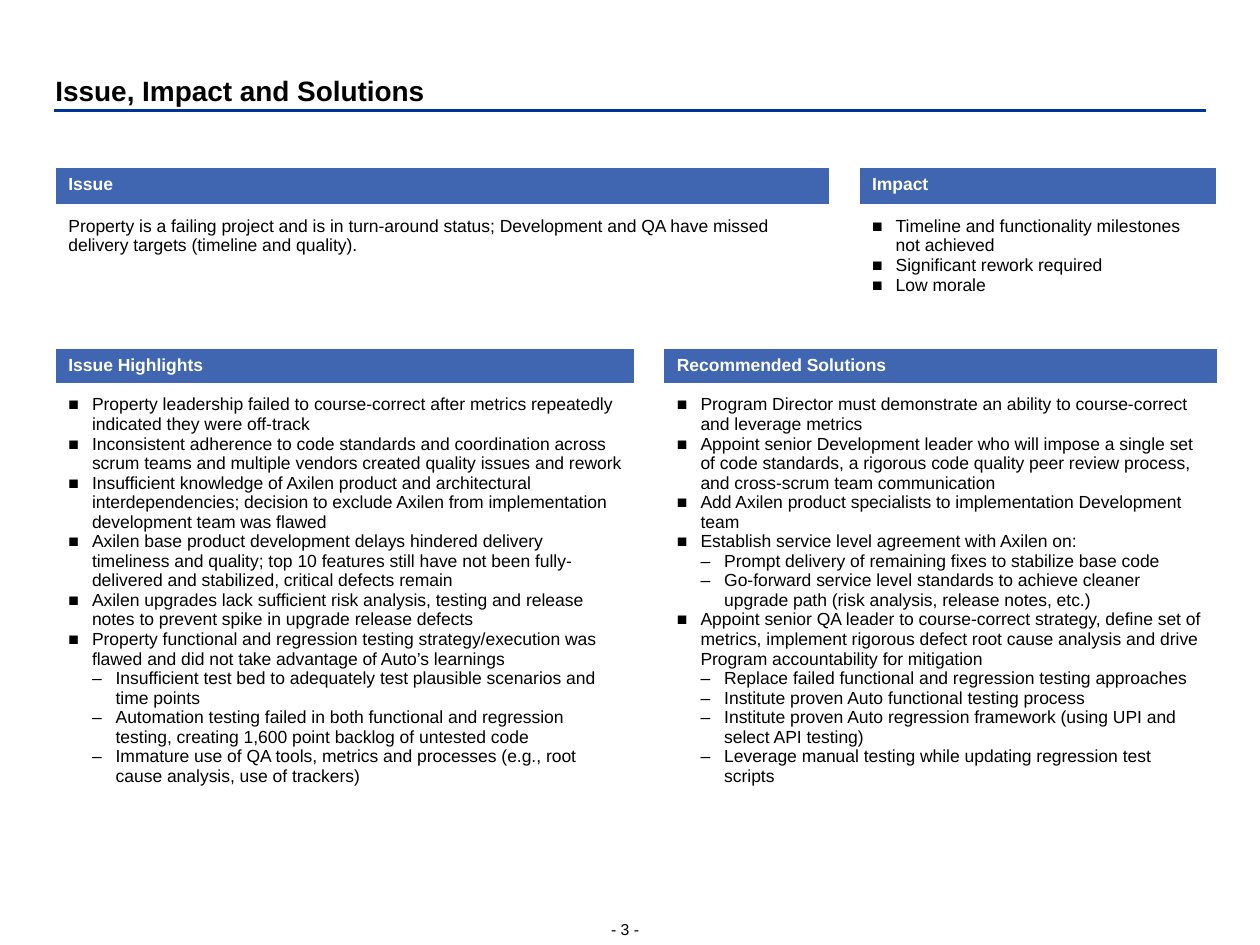
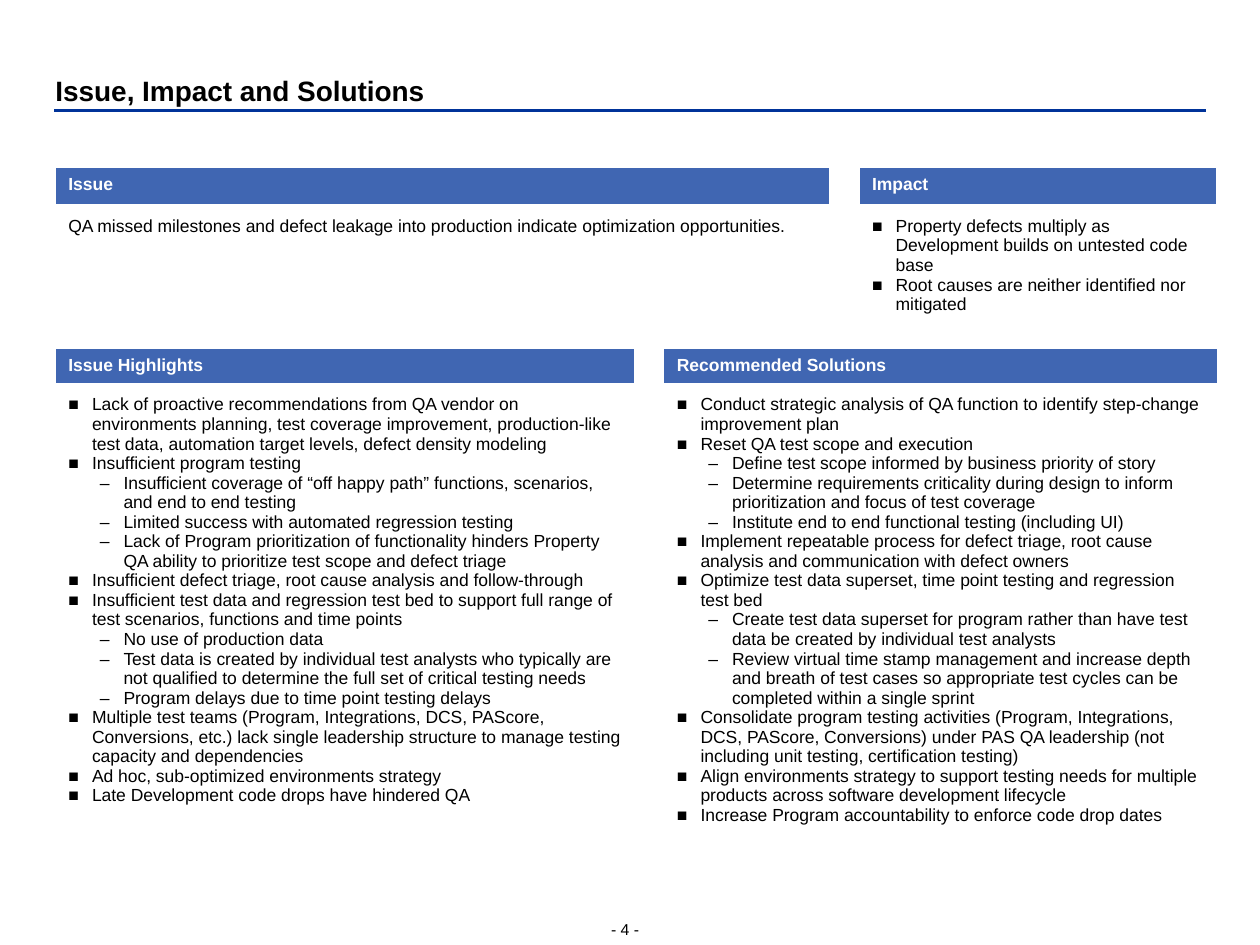
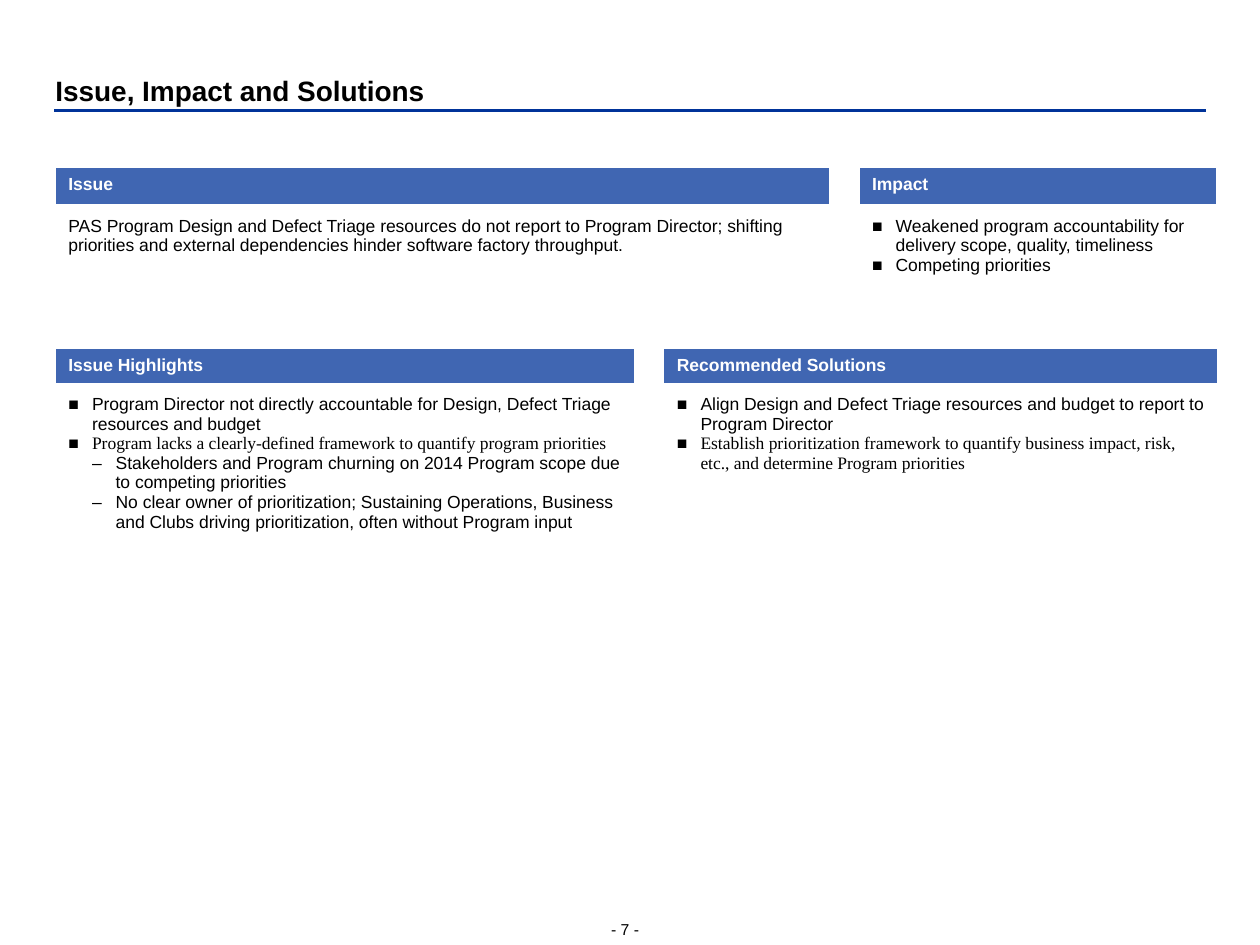
from typing import NamedTuple

from lxml import etree
from pptx import Presentation
from pptx.dml.color import RGBColor
from pptx.enum.shapes import MSO_CONNECTOR
from pptx.enum.text import MSO_ANCHOR, PP_ALIGN
from pptx.oxml.ns import qn
from pptx.util import Pt

STRAIGHT = MSO_CONNECTOR.STRAIGHT
BOTTOM = MSO_ANCHOR.BOTTOM
TOP = MSO_ANCHOR.TOP
LEFT = PP_ALIGN.LEFT

COLORS = {"text": "000000", "white": "FFFFFF", "band": "4066B2", "rule": "003399"}
SANS = "Arial"
SERIF = "Times New Roman"

TITLE_FORMAT = {"name": SANS, "size": Pt(16), "bold": True}
NUMBER_FORMAT = {"name": SANS, "size": Pt(9), "bold": False}
BAND_FORMAT = {"name": SANS, "size": Pt(10), "bold": True}
BODY_FORMAT = {"name": SANS, "size": Pt(10), "bold": False}

TITLE = "Issue, Impact and Solutions"
TITLE_BOX = (31.7, 40.3, 657.4, 20.9)
RULE_BOX = (31, 63.2, 658, 0)
NUMBER_BOX = (349.2, 524.8, 22.3, 11.6)
TABLE_BOX = (31.9, 96.2, 662.4, 270.4)
COLUMN_WIDTHS = (330.5, 16.6, 94.3, 16.6, 204.4)
ROW_HEIGHTS = (20.4, 82.8, 18.2, 149)
NO_STYLE = "{2D5ABB26-0587-4C30-8999-92F81FD0307C}"

PANELS = {
    "Issue": (0, 0, 2),
    "Impact": (0, 4, 4),
    "Issue Highlights": (2, 0, 0),
    "Recommended Solutions": (2, 2, 4),
}
DIVIDERS = {2: ("a:lnR",), 3: ("a:lnL", "a:lnR"), 4: ("a:lnL",)}
BULLETS = "■–"
HANG = 13.5


class Item(NamedTuple):
    """One bullet, with its level and font."""

    text: str
    level: int = 0
    font: str = SANS


class Review(NamedTuple):
    """The content of one review slide."""

    number: int
    sub_indent: float
    panels: dict


def sub(text):
    """Return a second-level bullet."""
    return Item(text, 1)


REVIEWS = [
    Review(3, 27, {
        "Issue": "Property is a failing project and is in turn-around status; Development and QA have "
                 "missed delivery targets (timeline and quality).",
        "Impact": [
            Item("Timeline and functionality milestones not achieved"),
            Item("Significant rework required"),
            Item("Low morale"),
        ],
        "Issue Highlights": [
            Item("Property leadership failed to course-correct after metrics repeatedly indicated they "
                 "were off-track"),
            Item("Inconsistent adherence to code standards and coordination across scrum teams and "
                 "multiple vendors created quality issues and rework"),
            Item("Insufficient knowledge of Axilen product and architectural interdependencies; decision "
                 "to exclude Axilen from implementation development team was flawed"),
            Item("Axilen base product development delays hindered delivery timeliness and quality; top "
                 "10 features still have not been fully-delivered and stabilized, critical defects remain"),
            Item("Axilen upgrades lack sufficient risk analysis, testing and release notes to prevent "
                 "spike in upgrade release defects"),
            Item("Property functional and regression testing strategy/execution was flawed and did not "
                 "take advantage of Auto’s learnings"),
            sub("Insufficient test bed to adequately test plausible scenarios and time points"),
            sub("Automation testing failed in both functional and regression testing, creating 1,600 "
                "point backlog of untested code"),
            sub("Immature use of QA tools, metrics and processes (e.g., root cause analysis, use of "
                "trackers)"),
        ],
        "Recommended Solutions": [
            Item("Program Director must demonstrate an ability to course-correct and leverage metrics"),
            Item("Appoint senior Development leader who will impose a single set of code standards, a "
                 "rigorous code quality peer review process, and cross-scrum team communication"),
            Item("Add Axilen product specialists to implementation Development team"),
            Item("Establish service level agreement with Axilen on:"),
            sub("Prompt delivery of remaining fixes to stabilize base code"),
            sub("Go-forward service level standards to achieve cleaner upgrade path (risk analysis, "
                "release notes, etc.)"),
            Item("Appoint senior QA leader to course-correct strategy, define set of metrics, implement "
                 "rigorous defect root cause analysis and drive Program accountability for mitigation"),
            sub("Replace failed functional and regression testing approaches"),
            sub("Institute proven Auto functional testing process"),
            sub("Institute proven Auto regression framework (using UPI and select API testing)"),
            sub("Leverage manual testing while updating regression test scripts"),
        ],
    }),
    Review(4, 31.5, {
        "Issue": "QA missed milestones and defect leakage into production indicate optimization "
                 "opportunities.",
        "Impact": [
            Item("Property defects multiply as Development builds on untested code base"),
            Item("Root causes are neither identified nor mitigated"),
        ],
        "Issue Highlights": [
            Item("Lack of proactive recommendations from QA vendor on environments planning, test "
                 "coverage improvement, production-like test data, automation target levels, defect "
                 "density modeling"),
            Item("Insufficient program testing"),
            sub("Insufficient coverage of “off happy path” functions, scenarios, and end to end testing"),
            sub("Limited success with automated regression testing"),
            sub("Lack of Program prioritization of functionality hinders Property QA ability to "
                "prioritize test scope and defect triage"),
            Item("Insufficient defect triage, root cause analysis and follow-through"),
            Item("Insufficient test data and regression test bed to support full range of test "
                 "scenarios, functions and time points"),
            sub("No use of production data"),
            sub("Test data is created by individual test analysts who typically are not qualified to "
                "determine the full set of critical testing needs"),
            sub("Program delays due to time point testing delays"),
            Item("Multiple test teams (Program, Integrations, DCS, PAScore, Conversions, etc.) lack "
                 "single leadership structure to manage testing capacity and dependencies"),
            Item("Ad hoc, sub-optimized environments strategy"),
            Item("Late Development code drops have hindered QA"),
        ],
        "Recommended Solutions": [
            Item("Conduct strategic analysis of QA function to identify step-change improvement plan"),
            Item("Reset QA test scope and execution"),
            sub("Define test scope informed by business priority of story"),
            sub("Determine requirements criticality during design to inform prioritization and focus of "
                "test coverage"),
            sub("Institute end to end functional testing (including UI)"),
            Item("Implement repeatable process for defect triage, root cause analysis and communication "
                 "with defect owners"),
            Item("Optimize test data superset, time point testing and regression test bed"),
            sub("Create test data superset for program rather than have test data be created by "
                "individual test analysts"),
            sub("Review virtual time stamp management and increase depth and breath of test cases so "
                "appropriate test cycles can be completed within a single sprint"),
            Item("Consolidate program testing activities (Program, Integrations, DCS, PAScore, "
                 "Conversions) under PAS QA leadership (not including unit testing, certification "
                 "testing)"),
            Item("Align environments strategy to support testing needs for multiple products across "
                 "software development lifecycle"),
            Item("Increase Program accountability to enforce code drop dates"),
        ],
    }),
    Review(7, 27, {
        "Issue": "PAS Program Design and Defect Triage resources do not report to Program Director; "
                 "shifting priorities and external dependencies hinder software factory throughput.",
        "Impact": [
            Item("Weakened program accountability for delivery scope, quality, timeliness"),
            Item("Competing priorities"),
        ],
        "Issue Highlights": [
            Item("Program Director not directly accountable for Design, Defect Triage resources and "
                 "budget"),
            Item("Program lacks a clearly-defined framework to quantify program priorities", 0, SERIF),
            sub("Stakeholders and Program churning on 2014 Program scope due to competing priorities"),
            sub("No clear owner of prioritization; Sustaining Operations, Business and Clubs driving "
                "prioritization, often without Program input"),
        ],
        "Recommended Solutions": [
            Item("Align Design and Defect Triage resources and budget to report to Program Director"),
            Item("Establish prioritization framework to quantify business impact, risk, etc., and "
                 "determine Program priorities", 0, SERIF),
        ],
    }),
]


def set_attributes(target, values):
    """Set every attribute in a dict of values."""
    for name, value in values.items():
        setattr(target, name, value)


def write_run(paragraph, text, text_format, color="text"):
    """Add one formatted run to a left-aligned paragraph."""
    paragraph.alignment = LEFT
    run = paragraph.add_run()
    run.text = text
    set_attributes(run.font, text_format)
    run.font.color.rgb = RGBColor.from_string(COLORS[color])


def add_line_of_text(slide, box, text, text_format, wrap):
    """Place a single line of text at the bottom of a box."""
    frame = slide.shapes.add_textbox(*map(Pt, box)).text_frame
    set_attributes(frame, {
        "margin_left": 0, "margin_top": 0, "margin_right": 0, "margin_bottom": 0,
        "vertical_anchor": BOTTOM, "word_wrap": wrap,
    })
    write_run(frame.paragraphs[0], text, text_format)


def add_rule(slide, box):
    """Draw the rule below the title."""
    left, top, width, height = box
    rule = slide.shapes.add_connector(STRAIGHT, *map(Pt, (left, top, left + width, top + height)))
    rule.line.color.rgb = RGBColor.from_string(COLORS["rule"])
    rule.line.width = Pt(1.5)
    etree.SubElement(rule._element.spPr, qn("a:effectLst"))


def set_bullet(paragraph, level, indent):
    """Give a paragraph a hanging bullet."""
    properties = paragraph._p.get_or_add_pPr()
    properties.set("marL", str(Pt(indent)))
    properties.set("indent", str(-Pt(HANG)))
    etree.SubElement(properties, qn("a:buFont"), typeface=SANS)
    etree.SubElement(properties, qn("a:buChar"), char=BULLETS[level])
    paragraph.level = level


def set_dividers(cell, sides):
    """Draw white borders on the given sides of a cell."""
    for side in sides:
        border = etree.SubElement(cell._tc.get_or_add_tcPr(), qn(side), w=str(Pt(1)))
        fill = etree.SubElement(border, qn("a:solidFill"))
        etree.SubElement(fill, qn("a:srgbClr"), val=COLORS["white"])


def fill_band(cell, heading):
    """Turn a cell into a heading band."""
    cell.fill.solid()
    cell.fill.fore_color.rgb = RGBColor.from_string(COLORS["band"])
    write_run(cell.text_frame.paragraphs[0], heading, BAND_FORMAT, "white")


def fill_body(cell, content, sub_indent):
    """Write a sentence or a list of bullets into a cell."""
    set_attributes(cell, {"margin_top": Pt(7.2), "margin_bottom": Pt(7.2)})
    frame = cell.text_frame
    if isinstance(content, str):
        write_run(frame.paragraphs[0], content, BODY_FORMAT)
        return
    for index, item in enumerate(content):
        paragraph = frame.add_paragraph() if index else frame.paragraphs[0]
        set_bullet(paragraph, item.level, (HANG, sub_indent)[item.level])
        write_run(paragraph, item.text, BODY_FORMAT | {"name": item.font})


def prepare_cells(table):
    """Clear the look of every cell and draw the dividers."""
    for row_index, row in enumerate(table.rows):
        for column_index, cell in enumerate(row.cells):
            if row_index < 2:
                set_dividers(cell, DIVIDERS.get(column_index, ()))
            cell.fill.background()
            set_attributes(cell, {
                "margin_left": Pt(7.2), "margin_right": Pt(7.2),
                "margin_top": Pt(3.6), "margin_bottom": Pt(3.6), "vertical_anchor": TOP,
            })


def shrink_empty_cells(table):
    """Keep empty cells from stretching their rows."""
    for cell in table.iter_cells():
        paragraph = cell.text_frame.paragraphs[0]
        if not paragraph.runs:
            etree.SubElement(paragraph._p, qn("a:endParaRPr"), sz="1000")


def add_review_table(slide, box, review):
    """Place the table with its four headed panels."""
    frame = slide.shapes.add_table(len(ROW_HEIGHTS), len(COLUMN_WIDTHS), *map(Pt, box))
    table = frame.table
    set_attributes(table, {"first_row": False, "horz_banding": False})
    table._tbl.tblPr.find(qn("a:tableStyleId")).text = NO_STYLE
    for column, width in zip(table.columns, COLUMN_WIDTHS):
        column.width = Pt(width)
    for row, height in zip(table.rows, ROW_HEIGHTS):
        row.height = Pt(height)
    prepare_cells(table)
    for heading, (row, first, last) in PANELS.items():
        band, body = (table.cell(index, first) for index in (row, row + 1))
        if last > first:
            band.merge(table.cell(row, last))
            body.merge(table.cell(row + 1, last))
        fill_band(band, heading)
        fill_body(body, review.panels[heading], review.sub_indent)
    shrink_empty_cells(table)


def add_review_slide(presentation, review):
    """Build one issue, impact and solutions slide."""
    slide = presentation.slides.add_slide(presentation.slide_layouts[6])
    add_rule(slide, RULE_BOX)
    add_line_of_text(slide, NUMBER_BOX, f"- {review.number} -", NUMBER_FORMAT, False)
    add_line_of_text(slide, TITLE_BOX, TITLE, TITLE_FORMAT, True)
    add_review_table(slide, TABLE_BOX, review)


def main():
    """Build and save the presentation."""
    presentation = Presentation()
    set_attributes(presentation, {"slide_width": Pt(720), "slide_height": Pt(540)})
    for review in REVIEWS:
        add_review_slide(presentation, review)
    presentation.save("out.pptx")


if __name__ == "__main__":
    main()
